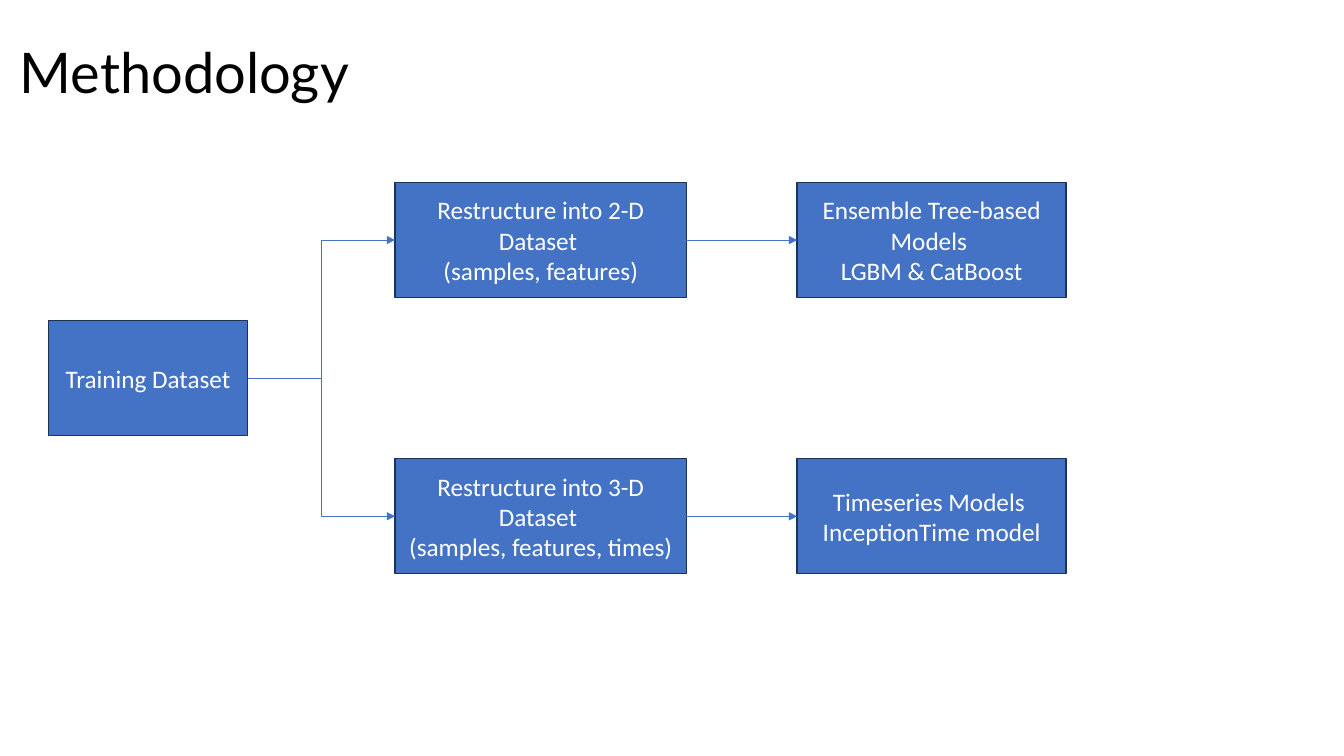
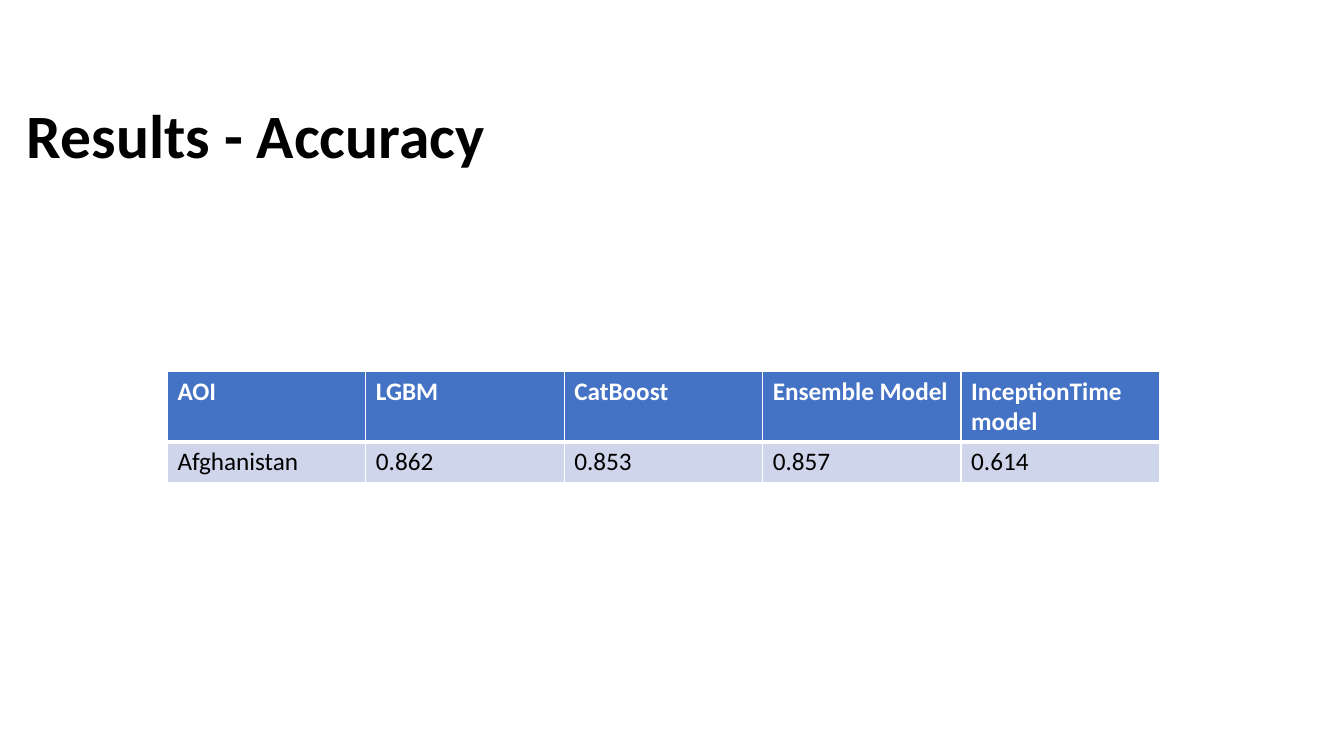
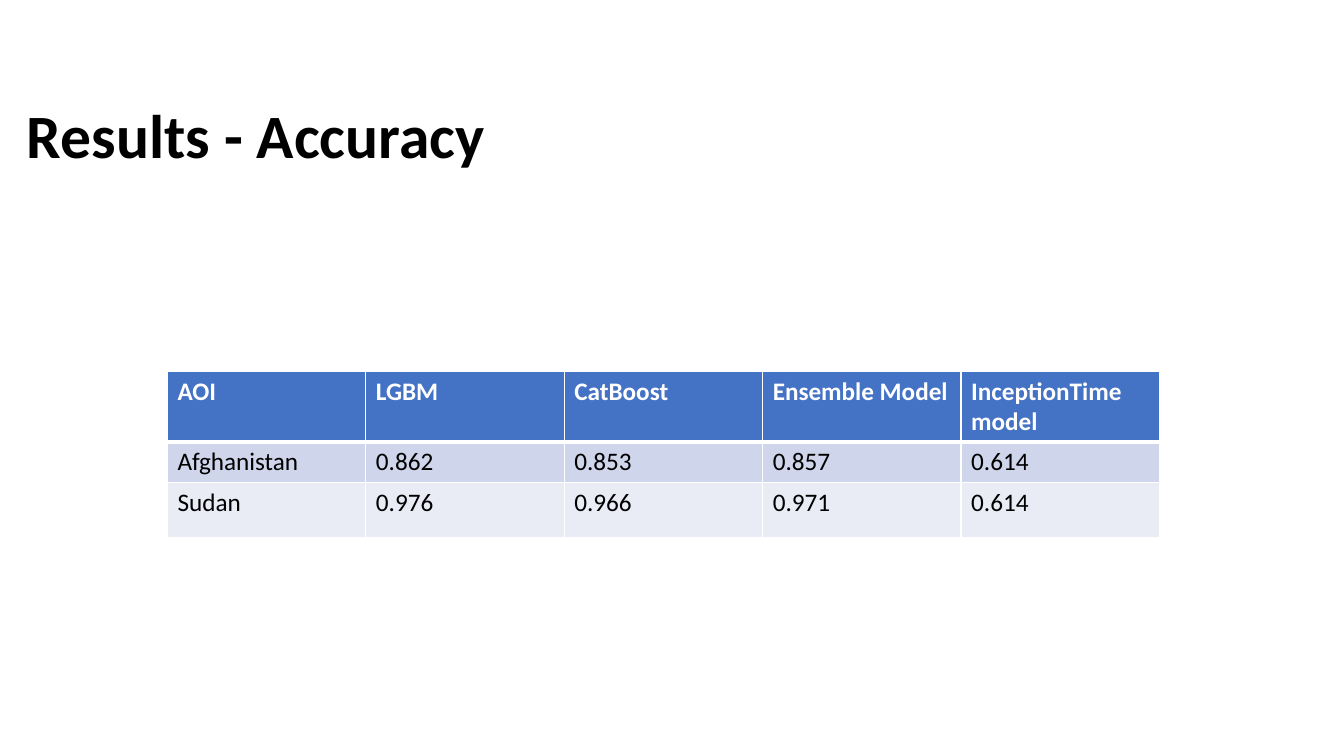
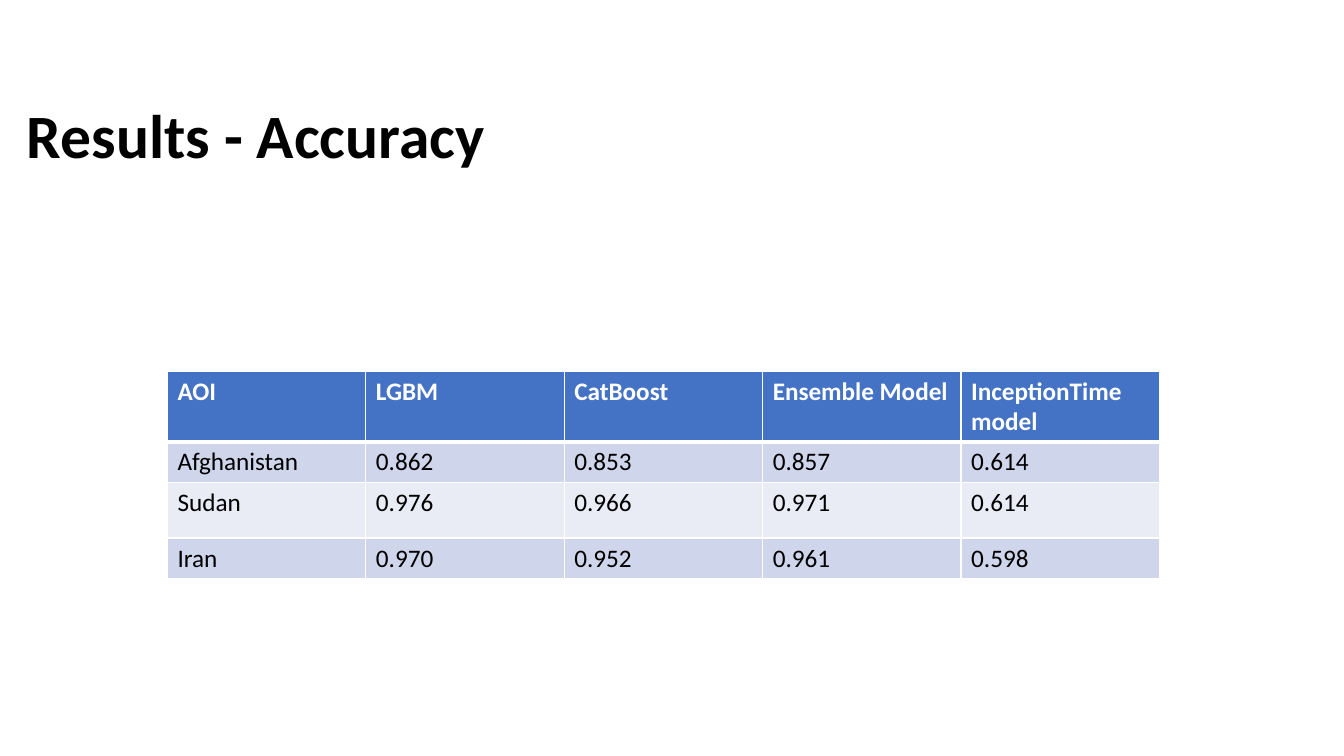
from lxml.etree import SubElement
from pptx import Presentation
from pptx.dml.color import RGBColor
from pptx.enum.shapes import MSO_CONNECTOR, MSO_SHAPE
from pptx.enum.text import MSO_ANCHOR, PP_ALIGN
from pptx.oxml.ns import qn
from pptx.util import Cm, Pt

BLUE, NAVY, WHITE, BLACK = "4472C4", "1E3256", "FFFFFF", "000000"
BANDS = ["CFD5EA", "E9EBF5"]
FONT = "Calibri"
RIGHT_SITE, LEFT_SITE = 3, 1


def rgb(color):
    return RGBColor.from_string(color)


class Deck:
    def __init__(self):
        self.prs = Presentation()
        self.prs.slide_width, self.prs.slide_height = Cm(33.87), Cm(19.05)
        self.s = None

    def add_slide(self):
        self.s = self.prs.slides.add_slide(self.prs.slide_layouts[6])

    def run(self, p, text, size=18, color=WHITE, bold=False, font=FONT):
        r = p.add_run()
        r.text = text
        r.font.name, r.font.size, r.font.bold = font, Pt(size), bold
        r.font.color.rgb = rgb(color)

    def title(self, text, x, y, **style):
        tf = self.s.shapes.add_textbox(Cm(x), Cm(y), Cm(26.59), Cm(2.9)).text_frame
        tf.word_wrap = True
        tf.vertical_anchor = MSO_ANCHOR.MIDDLE
        p = tf.paragraphs[0]
        p.line_spacing = 0.9
        self.run(p, text, color=BLACK, **style)

    def box(self, lines, x, center_y, width, height=2.9):
        sp = self.s.shapes.add_shape(MSO_SHAPE.RECTANGLE, Cm(x), Cm(center_y - height / 2),
                                     Cm(width), Cm(height))
        sp.shadow.inherit = False
        sp.fill.solid()
        sp.fill.fore_color.rgb = rgb(BLUE)
        sp.line.color.rgb = rgb(NAVY)
        sp.line.width = Pt(1)
        tf = sp.text_frame
        tf.word_wrap = True
        tf.vertical_anchor = MSO_ANCHOR.MIDDLE
        for i, line in enumerate(lines):
            p = tf.add_paragraph() if i else tf.paragraphs[0]
            p.alignment = PP_ALIGN.CENTER
            self.run(p, line)
        return sp

    def arrow(self, start, end, kind=MSO_CONNECTOR.STRAIGHT):
        cx = self.s.shapes.add_connector(
            kind, start.left + start.width, start.top + start.height // 2,
            end.left, end.top + end.height // 2)
        cx.begin_connect(start, RIGHT_SITE)
        cx.end_connect(end, LEFT_SITE)
        cx.line.color.rgb = rgb(BLUE)
        cx.line.width = Pt(0.5)
        SubElement(cx.line._get_or_add_ln(), qn("a:tailEnd"), type="triangle")
        SubElement(cx._element.spPr, qn("a:effectLst"))

    def borders(self, cell, top, bottom):
        tcPr = cell._tc.get_or_add_tcPr()
        for side, width in (("L", 1), ("R", 1), ("T", top), ("B", bottom)):
            ln = SubElement(tcPr, qn("a:ln" + side), w=str(Pt(width)))
            fill = SubElement(ln, qn("a:solidFill"))
            SubElement(fill, qn("a:srgbClr"), val=WHITE)

    def table(self, rows, heights, x, y, col_width):
        cols = len(rows[0])
        tbl = self.s.shapes.add_table(len(rows), cols, Cm(x), Cm(y),
                                      Cm(col_width * cols), Cm(sum(heights))).table
        for col in tbl.columns:
            col.width = Cm(col_width)
        for i, (values, height) in enumerate(zip(rows, heights)):
            tbl.rows[i].height = Cm(height)
            header = i == 0
            for j, value in enumerate(values):
                cell = tbl.cell(i, j)
                # Thick rule between the header and the first data row
                self.borders(cell, 3 if i == 1 else 1, 3 if header else 1)
                cell.fill.solid()
                cell.fill.fore_color.rgb = rgb(BLUE if header else BANDS[(i - 1) % 2])
                self.run(cell.text_frame.paragraphs[0], value,
                         color=WHITE if header else BLACK, bold=header)


# Accuracy per area, header first
ACCURACY = [
    ["AOI", "LGBM", "CatBoost", "Ensemble Model", "InceptionTime model"],
    ["Afghanistan", "0.862", "0.853", "0.857", "0.614"],
    ["Sudan", "0.976", "0.966", "0.971", "0.614"],
    ["Iran", "0.970", "0.952", "0.961", "0.598"],
]
ROW_HEIGHTS = [1.78, 1.03, 1.4, 1.03]

# The two branches of the method: data step, model step
BRANCHES = [
    (["Restructure into 2-D Dataset ", "(samples, features)"],
     ["Ensemble Tree-based Models ", "LGBM & CatBoost"]),
    (["Restructure into 3-D Dataset ", "(samples, features, times)"],
     ["Timeseries Models ", "InceptionTime model"]),
]


def methodology(deck):
    deck.add_slide()
    deck.title("Methodology", 0.25, 0.46, size=40, font="Lato")
    middle, offset = 9.53, 3.48
    training = deck.box(["Training Dataset"], 1.22, middle, 5.02)
    for (data_text, model_text), sign in zip(BRANCHES, (-1, 1)):
        y = middle + sign * offset
        data = deck.box(data_text, 9.96, y, 7.34)
        model = deck.box(model_text, 20.09, y, 6.78)
        deck.arrow(training, data, MSO_CONNECTOR.ELBOW)
        deck.arrow(data, model)


def results(deck, areas):
    deck.add_slide()
    deck.title("Results - Accuracy", 0.43, 2.03, size=44, bold=True)
    deck.table(ACCURACY[:areas + 1], ROW_HEIGHTS, 4.22, 9.35, 5)


def main():
    deck = Deck()
    methodology(deck)
    # Each results slide adds one more area
    for areas in range(1, len(ACCURACY)):
        results(deck, areas)
    deck.prs.save("out.pptx")


if __name__ == "__main__":
    main()
